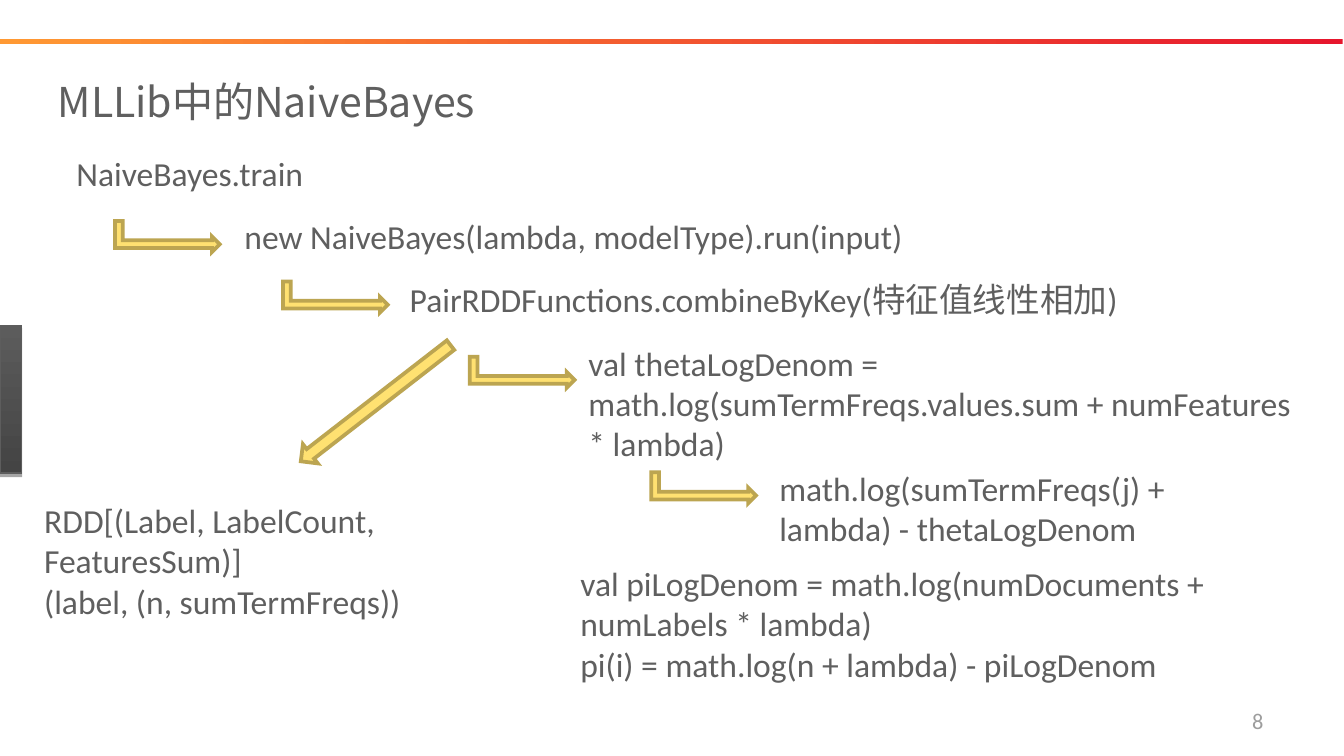
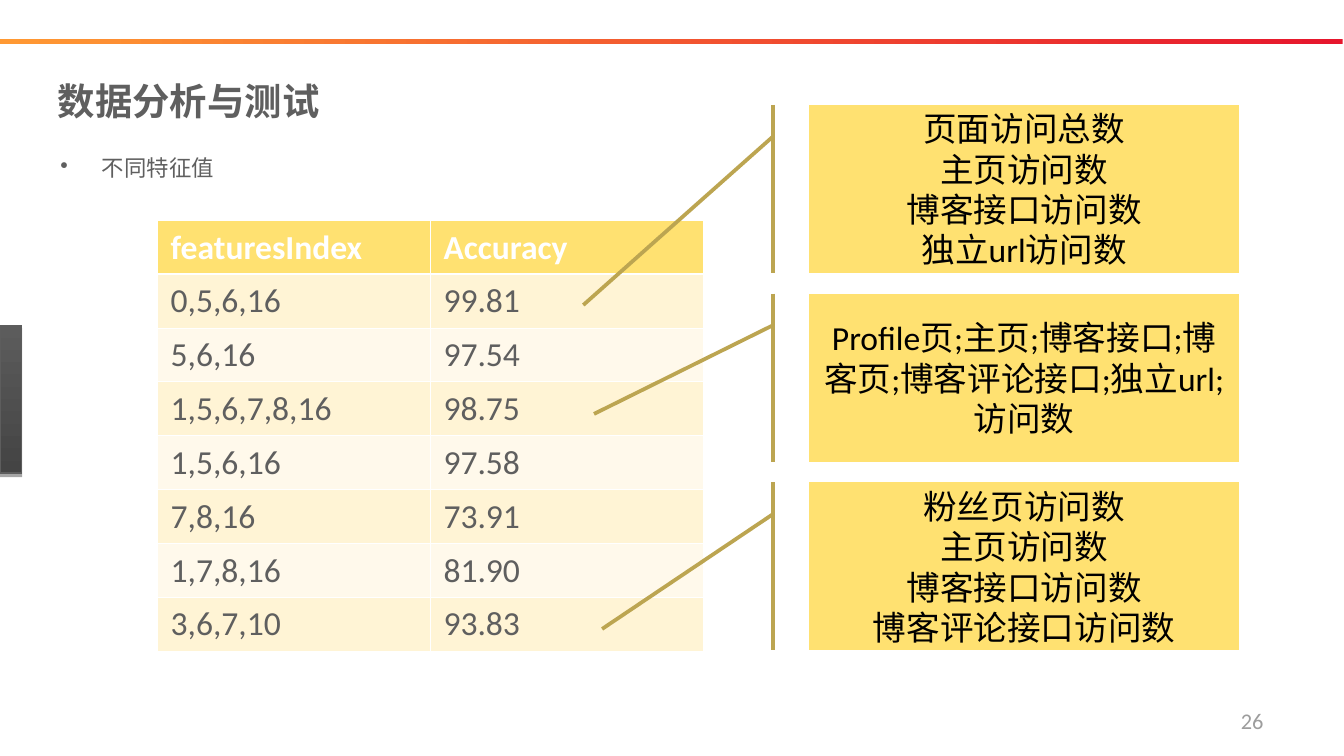
from dataclasses import dataclass

from lxml import etree
from pptx import Presentation
from pptx.dml.color import RGBColor
from pptx.enum.shapes import MSO_SHAPE
from pptx.enum.text import MSO_ANCHOR, MSO_AUTO_SIZE, PP_ALIGN
from pptx.oxml.ns import qn
from pptx.util import Inches, Pt

RECT = MSO_SHAPE.RECTANGLE
BENT = MSO_SHAPE.BENT_UP_ARROW
ARROW = MSO_SHAPE.RIGHT_ARROW
CALLOUT = MSO_SHAPE.LINE_CALLOUT_1_ACCENT_BAR
LEFT, CENTER, RIGHT = PP_ALIGN.LEFT, PP_ALIGN.CENTER, PP_ALIGN.RIGHT
TOP, MIDDLE = MSO_ANCHOR.TOP, MSO_ANCHOR.MIDDLE
FIXED = MSO_AUTO_SIZE.NONE


@dataclass(frozen=True)
class Theme:
    """Colours, fonts and type sizes shared by the slides."""
    ink: str = "5F5F5F"
    black: str = "000000"
    white: str = "FFFFFF"
    mute: str = "9D9D9D"
    gold: str = "FFE171"
    edge: str = "BCA551"
    pale: str = "FFF4D5"
    cream: str = "FFF9EB"
    red: str = "E6162D"
    orange: str = "FF9933"
    dark: str = "444444"
    gray: str = "5C5C5C"
    rim: str = "5D5D5D"
    latin: str = "Calibri"
    han: str = "Noto Sans CJK SC"
    body: int = 18
    small: int = 12


T = Theme()

STEPS = [
    ((0.24, 0, 1.91, 0.4), "NaiveBayes.train", False),
    ((1.49, 0.47, 6.02, 0.4), "new NaiveBayes(lambda, modelType).run(input)", True),
    ((2.72, 0.94, 5.6, 0.4), "PairRDDFunctions.combineByKey(特征值线性相加)", False),
    ((4.05, 1.41, 5.49, 1), "val thetaLogDenom = math.log(sumTermFreqs.values.sum"
                            " + numFeatures * lambda)", True),
    ((5.47, 2.34, 3.75, 0.7), "math.log(sumTermFreqs(j) + lambda) - thetaLogDenom", True),
    ((3.99, 3.05, 5, 1.3), "val piLogDenom = math.log(numDocuments + numLabels * lambda)\n"
                           "pi(i) = math.log(n + lambda) - piLogDenom", True),
    ((0, 2.58, 3.52, 1), "RDD[(Label, LabelCount, FeaturesSum)]\n"
                         "(label, (n, sumTermFreqs))", True),
]
TURNS = [(0.9, 0.28), (2.15, 0.73), (3.54, 1.29), (4.89, 2.15)]

SCORES = [
    ("featuresIndex", "Accuracy"),
    ("0,5,6,16", "99.81"),
    ("5,6,16", "97.54"),
    ("1,5,6,7,8,16", "98.75"),
    ("1,5,6,16", "97.58"),
    ("7,8,16", "73.91"),
    ("1,7,8,16", "81.90"),
    ("3,6,7,10", "93.83"),
]
NOTES = [
    ("页面访问总数\n主页访问数\n博客接口访问数\n独立url访问数", (-1.68, 1.49)),
    ("Profile页;主页;博客接口;博客页;博客评论接口;独立url;\n访问数", (-1.6, 2.3)),
    ("粉丝页访问数\n主页访问数\n博客接口访问数\n博客评论接口访问数", (-1.54, 3.9)),
]


def rgb(code):
    """Turn a hex code into a colour."""
    return RGBColor.from_string(code)


def add(parent, tag, **attrs):
    """Append an XML child to a drawing element."""
    node = etree.SubElement(parent, qn(tag))
    for name, value in attrs.items():
        node.set(name, str(value))
    return node


def write(frame, text, size=T.body, color=T.ink, face=T.latin,
          bold=False, align=LEFT, anchor=TOP):
    """Fill a text frame and format its runs."""
    frame.text = text
    frame.vertical_anchor = anchor
    for para in frame.paragraphs:
        para.alignment = align
        for run in para.runs:
            font = run.font
            font.name, font.size, font.bold = face, Pt(size), bold
            font.color.rgb = rgb(color)
            add(run._r.get_or_add_rPr(), "a:ea", typeface=T.han)


def label(slide, box, text, wrap=True, **style):
    """Add a text box."""
    frame = slide.shapes.add_textbox(*map(Inches, box)).text_frame
    frame.word_wrap = wrap
    write(frame, text, **style)
    return frame


def shape(slide, kind, box, fill=T.gold, line=T.edge, width=2):
    """Add a flat preset shape with an optional sharp outline."""
    item = slide.shapes.add_shape(kind, *map(Inches, box))
    item.shadow.inherit = False
    item.fill.solid()
    item.fill.fore_color.rgb = rgb(fill)
    if line:
        item.line.color.rgb = rgb(line)
        item.line.width = Pt(width)
        add(item._element.spPr.find(qn("a:ln")), "a:miter", lim=800000)
    else:
        item.line.fill.background()
    return item


def blend(item, colors, angle):
    """Give a shape a two-colour gradient."""
    item.fill.gradient()
    item.fill.gradient_angle = angle
    for stop, color in zip(item.fill.gradient_stops, colors):
        stop.color.rgb = rgb(color)


def band(slide, box):
    """Draw the thin band across the top."""
    blend(shape(slide, RECT, box, line=None), (T.red, T.orange), 180)


def tab(slide, box):
    """Draw the dark tab on the left edge."""
    item = shape(slide, RECT, box, line=T.rim, width=0.75)
    blend(item, (T.dark, T.gray), 90)
    effects = item._element.spPr.find(qn("a:effectLst"))
    cast = add(effects, "a:outerShdw", blurRad=0, dist=Pt(1.8), dir=5400000,
               algn="ctr", rotWithShape=0)
    add(add(cast, "a:srgbClr", val=T.black), "a:alpha", val=35000)


def base(deck, title, size, bold, number):
    """Start a slide with its title, band, tab and number."""
    slide = deck.slides.add_slide(deck.slide_layouts[5])
    band(slide, (-0.01, 0.29, 10, 0.04))
    tab(slide, (0, 2.42, 0.16, 1.1))
    head = slide.shapes.title
    head.left, head.top, head.width, head.height = map(Inches, (0.33, 0.51, 9, 0.48))
    head.text_frame.auto_size = FIXED
    write(head.text_frame, title, size=size, face=T.han, bold=bold, anchor=MIDDLE)
    label(slide, (7.17, 5.21, 2.33, 0.3), str(number), size=T.small,
          color=T.mute, align=RIGHT, anchor=MIDDLE)
    return slide


def flow(slide, left, top):
    """Lay out the call chain with its arrows."""
    for x, y in TURNS:
        shape(slide, BENT, (left + x, top + y, 0.23, 0.78)).rotation = 90
    shape(slide, ARROW, (left + 1.86, top + 1.82, 1.41, 0.18)).rotation = 142.2
    for (x, y, wide, high), text, wrap in STEPS:
        label(slide, (left + x, top + y, wide, high), text, wrap)


def bullet(slide, box, text):
    """Add a bulleted line."""
    frame = label(slide, box, text, size=T.small, face=T.han)
    para = frame.paragraphs[0]
    props = para._p.get_or_add_pPr()
    props.set("marL", str(Inches(0.31)))
    props.set("indent", str(Inches(-0.31)))
    add(add(props, "a:buClr"), "a:srgbClr", val=T.ink)
    add(props, "a:buChar", char="•")
    para.line_spacing = 1.5


def border(cell, widths):
    """Draw white cell borders: left, right, top, bottom."""
    props = cell._tc.get_or_add_tcPr()
    for side, width in zip("LRTB", widths):
        line = add(props, f"a:ln{side}", w=Pt(width))
        add(add(line, "a:solidFill"), "a:srgbClr", val=T.white)


def grid(slide, box):
    """Add the accuracy table."""
    table = slide.shapes.add_table(len(SCORES), 2, *map(Inches, box)).table
    thin, thick = 0.45, 1.47
    for i, row in enumerate(SCORES):
        head = i == 0
        fill = T.gold if head else (T.pale if i % 2 else T.cream)
        for j, text in enumerate(row):
            cell = table.cell(i, j)
            border(cell, (thin, thin, thick if i == 1 else thin, thick if head else thin))
            cell.fill.solid()
            cell.fill.fore_color.rgb = rgb(fill)
            write(cell.text_frame, text, bold=head, color=T.white if head else T.ink)


def notes(slide, box):
    """Stack the callouts evenly, each pointing at its table row."""
    left, top, wide, high = box
    tall = 1.25
    pitch = (high - tall) / (len(NOTES) - 1)
    for i, (text, (x, y)) in enumerate(NOTES):
        drop = i * pitch
        card = shape(slide, CALLOUT, (left, top + drop, wide, tall))
        ends = (0.1875, -0.08333, (y - drop) / tall, x / wide)
        for k, value in enumerate(ends):
            card.adjustments[k] = value
        card.text_frame.word_wrap = True
        write(card.text_frame, text, color=T.black, align=CENTER, anchor=MIDDLE)


def main():
    """Build and save the deck."""
    deck = Presentation()
    deck.slide_width = Inches(10)
    deck.slide_height = deck.slide_width * 9 // 16
    deck.element.sldSz.set("type", "screen16x9")
    flow(base(deck, "MLLib中的NaiveBayes", 22, False, 8), 0.23, 1.09)
    tests = base(deck, "数据分析与测试", 20, True, 26)
    bullet(tests, (0.35, 1, 9.21, 0.4), "不同特征值")
    grid(tests, (1.17, 1.64, 4.06, 3.2))
    notes(tests, (6.02, 0.78, 3.2, 4.06))
    deck.save("out.pptx")


if __name__ == "__main__":
    main()
